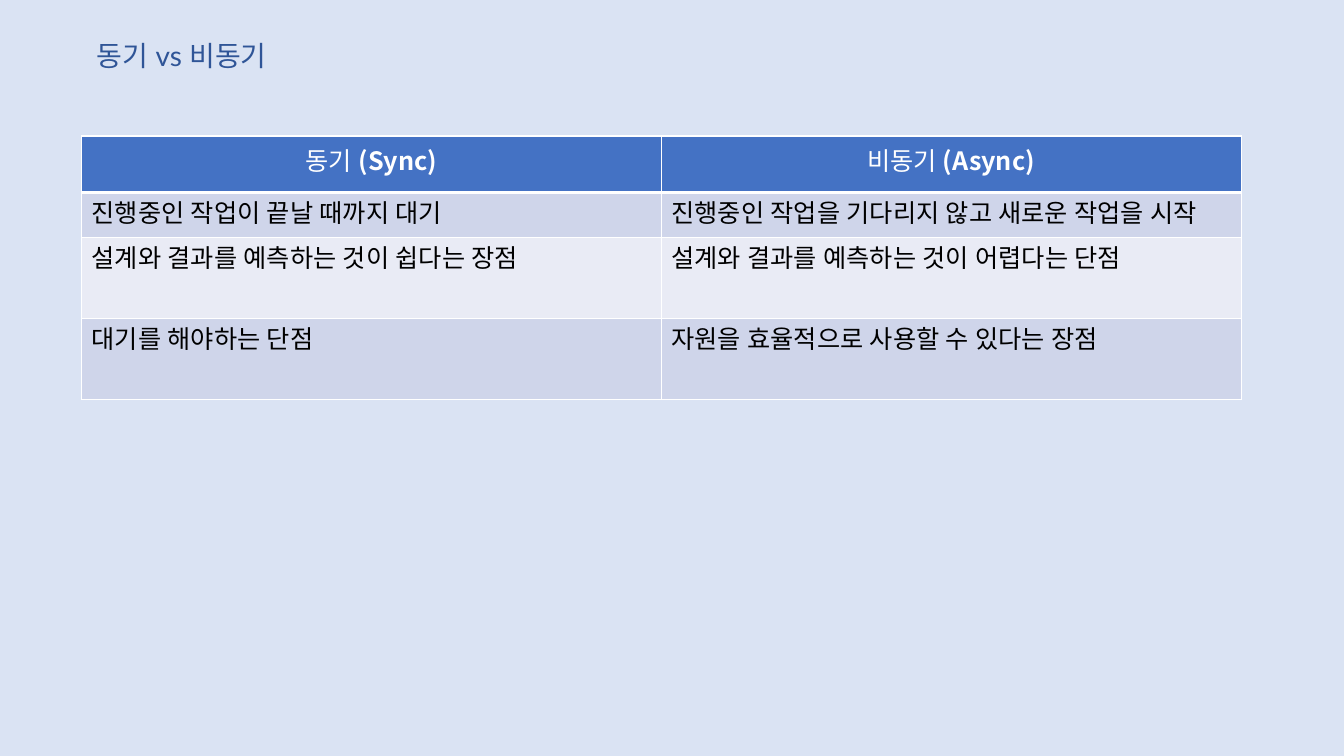
from pptx import Presentation
from pptx.dml.color import RGBColor
from pptx.enum.text import MSO_ANCHOR, MSO_AUTO_SIZE, PP_ALIGN
from pptx.oxml.ns import qn
from pptx.util import Inches, Pt
from lxml.etree import SubElement

COLORS = {
    "back": "DAE3F3",
    "title": "2F5597",
    "head": "4472C4",
    "odd": "CFD5EA",
    "even": "E9EBF5",
    "white": "FFFFFF",
    "black": "000000",
}
PLAIN, STRONG = "Lato", "Noto Sans CJK KR"
HEADS = [("동기 ", "(Sync)"), ("비동기", " (Async)")]
ROWS = [
    ("진행중인 작업이 끝날 때까지 대기", "진행중인 작업을 기다리지 않고 새로운 작업을 시작"),
    ("설계와 결과를 예측하는 것이 쉽다는 장점", "설계와 결과를 예측하는 것이 어렵다는 단점"),
    ("대기를 해야하는 단점", "자원을 효율적으로 사용할 수 있다는 장점"),
]
HEIGHTS = [0.56, 0.45, 0.8, 0.8]


def color(name):
    return RGBColor.from_string(COLORS[name])


def style(run, size, tone, face=PLAIN, bold=False):
    font = run.font
    font.size, font.bold, font.name = Pt(size), bold, face
    font.color.rgb = color(tone)
    SubElement(run._r.get_or_add_rPr(), qn("a:ea"), typeface=face)


def paint(cell, tone, base=1):
    """Fill a cell and rule its sides in white; base is the bottom width."""
    props = cell._tc.get_or_add_tcPr()
    for side, width in (("L", 1), ("R", 1), ("T", 1), ("B", base)):
        line = SubElement(props, qn(f"a:ln{side}"), w=str(Pt(width)))
        fill = SubElement(line, qn("a:solidFill"))
        SubElement(fill, qn("a:srgbClr"), val=COLORS["white"])
    cell.fill.solid()
    cell.fill.fore_color.rgb = color(tone)


def add_title(slide, box):
    title = slide.shapes.title
    title.left, title.top, title.width, title.height = box
    frame = title.text_frame
    frame.text = "동기 vs 비동기"
    frame.word_wrap = False
    frame.auto_size = MSO_AUTO_SIZE.SHAPE_TO_FIT_TEXT
    frame.vertical_anchor = MSO_ANCHOR.TOP
    para = frame.paragraphs[0]
    para.alignment = PP_ALIGN.LEFT
    style(para.runs[0], 20, "title")


def add_grid(slide, box):
    table = slide.shapes.add_table(len(HEIGHTS), len(HEADS), *box).table
    for row, height in zip(table.rows, HEIGHTS):
        row.height = Inches(height)
    for col, (name, note) in enumerate(HEADS):
        cell = table.cell(0, col)
        paint(cell, "head", 3)
        para = cell.text_frame.paragraphs[0]
        para.text = name
        para.alignment = PP_ALIGN.CENTER
        para.add_run().text = note
        style(para.runs[0], 18, "white")
        style(para.runs[1], 18, "white", STRONG, True)
    for num, texts in enumerate(ROWS, 1):
        for col, text in enumerate(texts):
            cell = table.cell(num, col)
            paint(cell, "odd" if num % 2 else "even")
            cell.text_frame.text = text
            style(cell.text_frame.paragraphs[0].runs[0], 18, "black")


def main():
    deck = Presentation()
    deck.slide_width, deck.slide_height = Inches(13.33), Inches(7.5)
    slide = deck.slides.add_slide(deck.slide_layouts[5])
    slide.background.fill.solid()
    slide.background.fill.fore_color.rgb = color("back")
    add_title(slide, [Inches(n) for n in (0.86, 0.33, 2.08, 0.44)])
    add_grid(slide, [Inches(n) for n in (0.81, 1.35, 11.5, sum(HEIGHTS))])
    deck.save("out.pptx")


if __name__ == "__main__":
    main()
